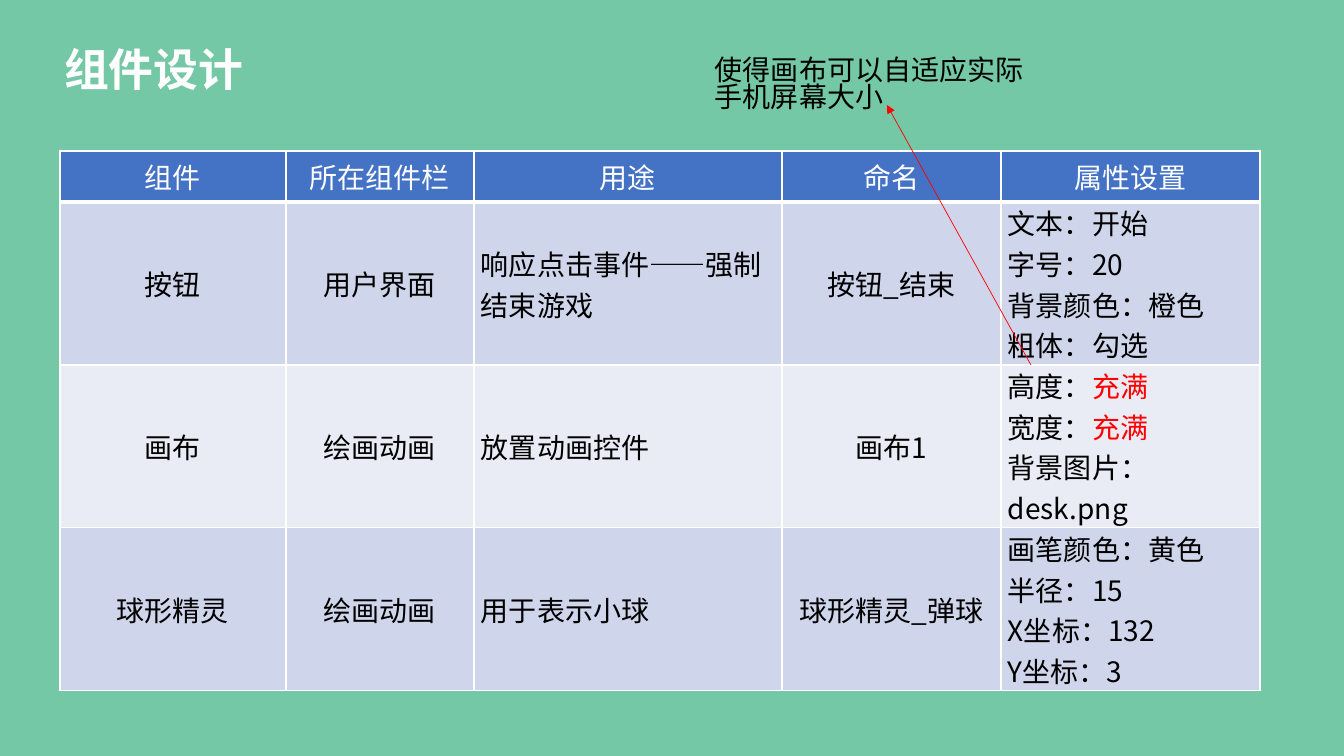
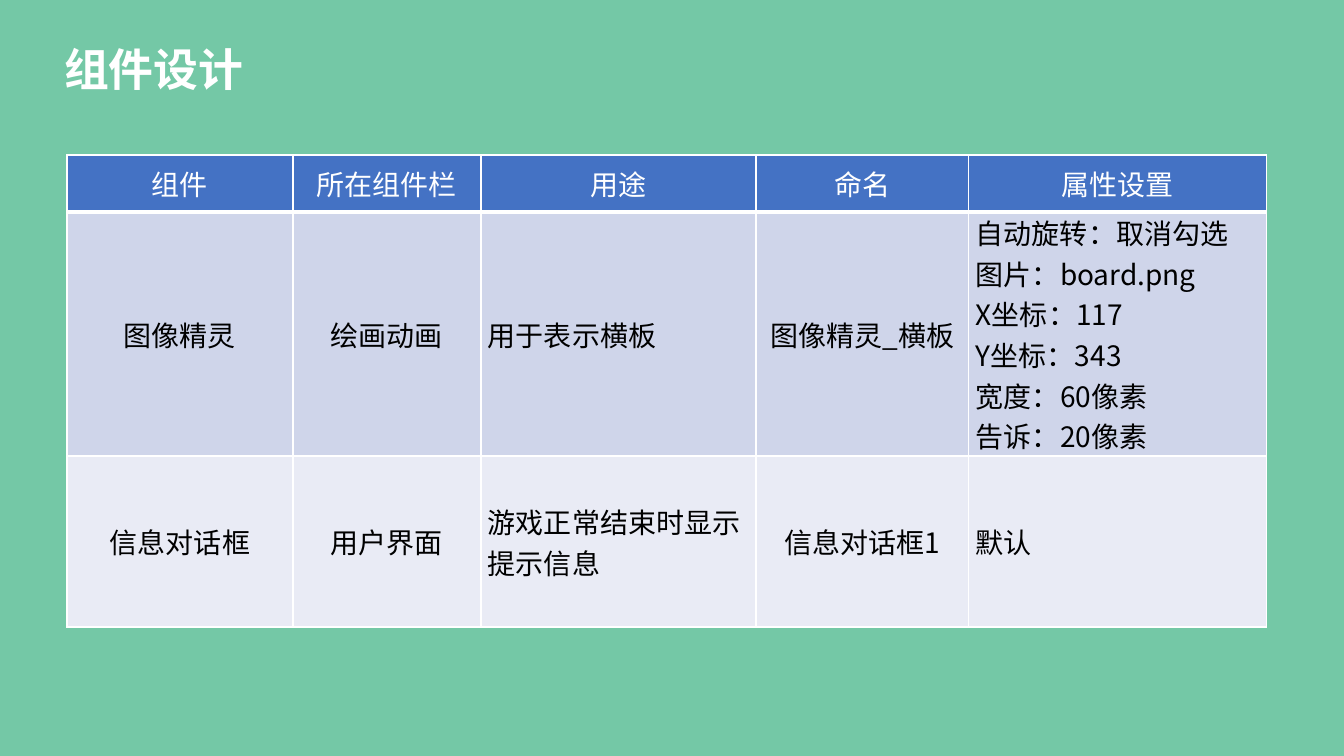
"""Build two slides of component design tables for a ball game app."""
import dataclasses

import lxml.etree
import pptx
import pptx.dml.color
import pptx.enum.shapes
import pptx.enum.text
import pptx.oxml.ns
import pptx.util


@dataclasses.dataclass(frozen=True)
class Theme:
    font: str = "Noto Sans CJK SC"
    background: str = "74C8A6"
    header: str = "4472C4"
    bands: tuple = ("CFD5EA", "E9EBF5")
    light: str = "FFFFFF"
    dark: str = "000000"
    accent: str = "FF0000"
    title_size: int = 32
    body_size: int = 20
    line_spacing: float = 0.8


THEME = Theme()
PX = 914400 / 100.8
ALIGN = pptx.enum.text.PP_ALIGN
ANCHOR = pptx.enum.text.MSO_ANCHOR
qn = pptx.oxml.ns.qn
rgb = pptx.dml.color.RGBColor.from_string


def px(*lengths):
    """Turn pixel lengths into EMU."""
    return [pptx.util.Emu(round(length * PX)) for length in lengths]


def add_run(paragraph, text, color, size=THEME.body_size, bold=False):
    """Add a run in the theme font."""
    run = paragraph.add_run()
    run.text = text
    values = {"name": THEME.font, "size": pptx.util.Pt(size), "bold": bold}
    for name, value in values.items():
        setattr(run.font, name, value)
    run.font.color.rgb = rgb(color)
    latin = run.font._element.find(qn("a:latin"))
    latin.addnext(latin.makeelement(qn("a:ea"), {"typeface": THEME.font}))


HEADINGS = ["组件", "所在组件栏", "用途", "命名", "属性设置"]
HIGHLIGHT = "充满"
TABLES = [
    {
        "origin": (60, 151),
        "columns": (226, 188, 308, 219, 259),
        "heights": (51, 163, 162, 163),
        "rows": [
            ["按钮", "用户界面", "响应点击事件——强制结束游戏", "按钮_结束",
             "文本：开始\n字号：20\n背景颜色：橙色\n粗体：勾选"],
            ["画布", "绘画动画", "放置动画控件", "画布1",
             "高度：充满\n宽度：充满\n背景图片：desk.png"],
            ["球形精灵", "绘画动画", "用于表示小球", "球形精灵_弹球",
             "画笔颜色：黄色\n半径：15\nX坐标：132\nY坐标：3"],
        ],
    },
    {
        "origin": (67, 155),
        "columns": (226, 188, 275, 213, 298),
        "heights": (57, 244, 171),
        "rows": [
            ["图像精灵", "绘画动画", "用于表示横板", "图像精灵_横板",
             "自动旋转：取消勾选\n图片：board.png\nX坐标：117\nY坐标：343\n"
             "宽度：60像素\n告诉：20像素"],
            ["信息对话框", "用户界面", "游戏正常结束时显示提示信息", "信息对话框1", "默认"],
        ],
    },
]
LEFT_COLUMNS = (2, 4)
BORDERS = {"a:lnL": 1, "a:lnR": 1, "a:lnT": 1, "a:lnB": 3}

presentation = pptx.Presentation()
presentation.slide_width, presentation.slide_height = px(1344, 756)
layout = presentation.slide_layouts[5]
background = presentation.slide_master.background.fill
background.solid()
background.fore_color.rgb = rgb(THEME.background)

for design in TABLES:
    slide = presentation.slides.add_slide(layout)
    title = slide.shapes.title
    title.left, title.top, title.width, title.height = px(54, 47, 618, 70)
    title.text_frame.vertical_anchor = ANCHOR.TOP
    paragraph = title.text_frame.paragraphs[0]
    paragraph.alignment = ALIGN.LEFT
    paragraph.line_spacing = THEME.line_spacing
    add_run(paragraph, "组件设计", THEME.light, THEME.title_size, True)

    rows = [HEADINGS] + design["rows"]
    frame = slide.shapes.add_table(
        len(rows), len(HEADINGS),
        *px(*design["origin"], sum(design["columns"]), sum(design["heights"])))
    table = frame.table
    for column, width in zip(table.columns, px(*design["columns"])):
        column.width = width
    for row, height in zip(table.rows, px(*design["heights"])):
        row.height = height

    for row_index, texts in enumerate(rows):
        is_header = row_index == 0
        fill = THEME.header if is_header else THEME.bands[(row_index - 1) % 2]
        color = THEME.light if is_header else THEME.dark
        for column_index, text in enumerate(texts):
            cell = table.cell(row_index, column_index)
            cell.vertical_anchor = ANCHOR.MIDDLE
            if not is_header and column_index != 1:
                cell.margin_left, cell.margin_right = px(7, 7)
                cell.margin_top = cell.margin_bottom = 0
            if is_header:
                properties = cell._tc.get_or_add_tcPr()
                for tag, points in BORDERS.items():
                    line = lxml.etree.SubElement(
                        properties, qn(tag), w=str(pptx.util.Pt(points)))
                    solid = lxml.etree.SubElement(line, qn("a:solidFill"))
                    lxml.etree.SubElement(solid, qn("a:srgbClr"), val=THEME.light)
            cell.fill.solid()
            cell.fill.fore_color.rgb = rgb(fill)

            is_left = not is_header and column_index in LEFT_COLUMNS
            for line_index, line_text in enumerate(text.split("\n")):
                text_frame = cell.text_frame
                paragraph = (text_frame.add_paragraph() if line_index
                             else text_frame.paragraphs[0])
                paragraph.alignment = ALIGN.LEFT if is_left else ALIGN.CENTER
                label, marked, _ = line_text.partition(HIGHLIGHT)
                add_run(paragraph, label, color)
                if marked:
                    add_run(paragraph, marked, THEME.accent)

slide = presentation.slides[0]
arrow = slide.shapes.add_connector(
    pptx.enum.shapes.MSO_CONNECTOR.STRAIGHT, *px(1031, 365, 887, 105))
arrow.line.color.rgb = rgb(THEME.accent)
arrow.line.width = pptx.util.Pt(0.5)
lxml.etree.SubElement(arrow.line._get_or_add_ln(), qn("a:tailEnd"), type="triangle")
lxml.etree.SubElement(arrow._element.spPr, qn("a:effectLst"))

note = slide.shapes.add_textbox(*px(705, 54, 351, 78))
note.text_frame.word_wrap = True
note.text_frame.auto_size = pptx.enum.text.MSO_AUTO_SIZE.SHAPE_TO_FIT_TEXT
paragraph = note.text_frame.paragraphs[0]
paragraph.line_spacing = THEME.line_spacing
add_run(paragraph, "使得画布可以自适应实际手机屏幕大小", THEME.dark)

presentation.save("out.pptx")
